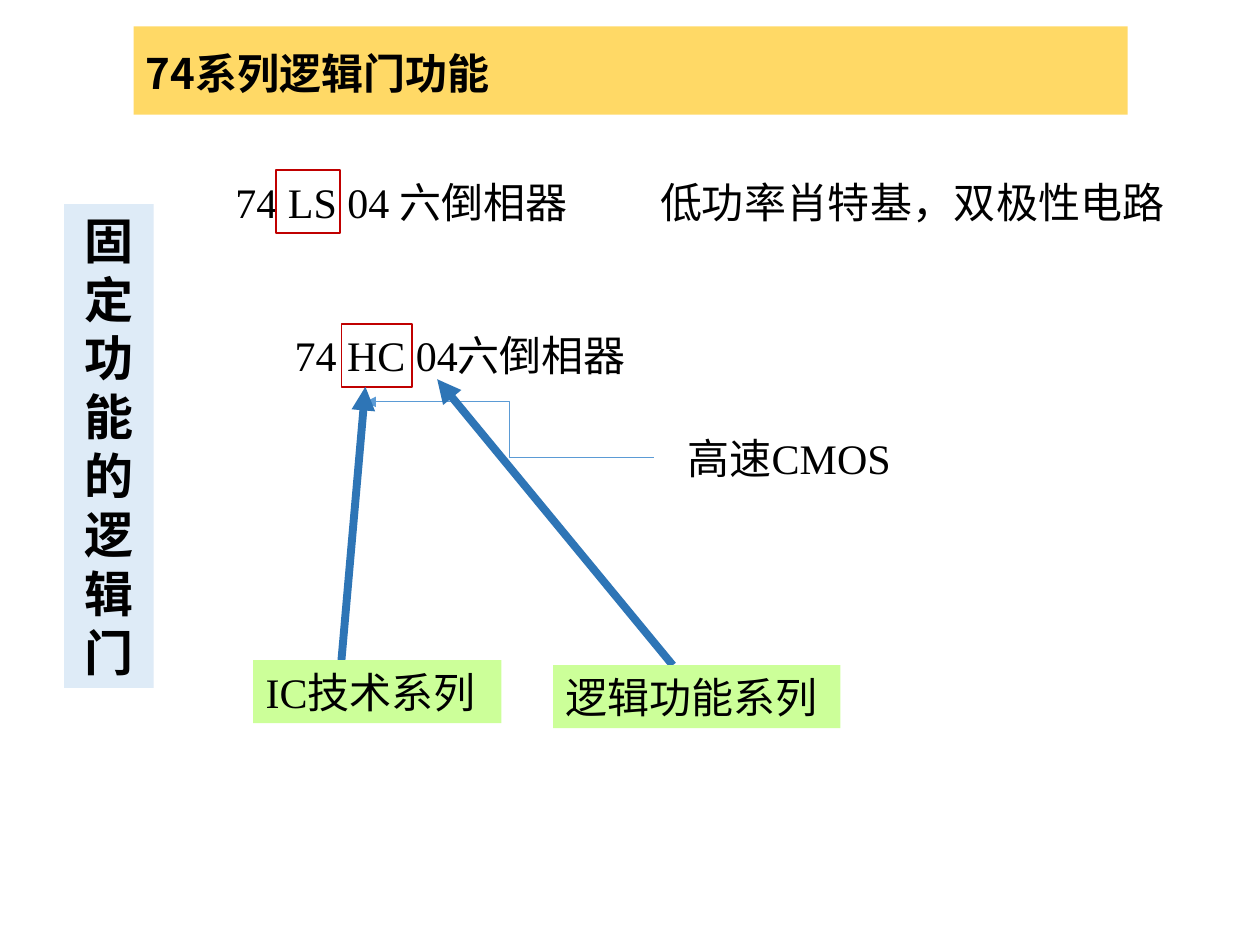
from lxml import etree
from pptx import Presentation
from pptx.dml.color import RGBColor
from pptx.enum.shapes import MSO_CONNECTOR, MSO_SHAPE
from pptx.enum.text import MSO_ANCHOR, PP_ALIGN
from pptx.oxml.ns import qn
from pptx.util import Inches, Pt


def color(value):
    return RGBColor.from_string(value)


def add_box(left, top, width, height, fill=None, outline=None):
    box = page.shapes.add_shape(MSO_SHAPE.RECTANGLE, Inches(left), Inches(top),
                                Inches(width), Inches(height))
    box.shadow.inherit = False
    if fill:
        box.fill.solid()
        box.fill.fore_color.rgb = color(fill)
    else:
        box.fill.background()
    if outline:
        box.line.color.rgb = color(outline)
        box.line.width = Pt(1)
    else:
        box.line.fill.background()
    return box


deck = Presentation()
deck.slide_width = Inches(10)
deck.slide_height = Inches(7.5)
page = deck.slides.add_slide(deck.slide_layouts[6])

sidebar = add_box(0.51, 1.62, 0.71, 3.84, fill="DEEBF7")
title = add_box(1.06, 0.21, 7.89, 0.7, fill="FFD966")
texts = [
    (sidebar, "固定功能的逻辑门", "Calibri", 28, True),
    (title, "74系列逻辑门功能", "Noto Sans CJK SC", 24, True),
]

# Part numbers and their explanations
for left, top, width, wording in [
    (1.77, 1.35, 5.53, "74 LS 04 六倒相器"),
    (5.36, 3.38, 1.95, "高速CMOS"),
    (5.14, 1.35, 4.33, "低功率肖特基，双极性电路"),
    (2.24, 2.57, 5.53, "74 HC 04六倒相器"),
]:
    label = page.shapes.add_textbox(Inches(left), Inches(top), Inches(width), Inches(0.5))
    texts.append((label, wording, "Times New Roman", 24, False))

# Frames around the technology letters
add_box(2.19, 1.35, 0.51, 0.5, outline="C00000")
add_box(2.71, 2.57, 0.56, 0.5, outline="C00000")

# Arrows pointing at the parts of the type number
for kind, start, end, stroke, weight in [
    (MSO_CONNECTOR.ELBOW, (5.19, 3.63), (2.9, 3.19), "5B9BD5", 0.5),
    (MSO_CONNECTOR.STRAIGHT, (2.71, 5.24), (2.9, 3.07), "2E75B6", 4.5),
    (MSO_CONNECTOR.STRAIGHT, (5.34, 5.28), (3.47, 3.01), "2E75B6", 4.5),
]:
    arrow = page.shapes.add_connector(kind, *[Inches(value) for value in start + end])
    arrow.line.color.rgb = color(stroke)
    arrow.line.width = Pt(weight)
    etree.SubElement(arrow.line._get_or_add_ln(), qn("a:tailEnd"), type="triangle")
    etree.SubElement(arrow._element.spPr, qn("a:effectLst"))

for left, top, width, wording in [
    (2.01, 5.24, 1.97, "IC技术系列"),
    (4.39, 5.28, 2.28, "逻辑功能系列"),
]:
    caption = add_box(left, top, width, 0.5, fill="CCFF99")
    texts.append((caption, wording, "Times New Roman", 24, False))

for box, wording, font_name, size, bold in texts:
    frame = box.text_frame
    frame.text = wording
    frame.word_wrap = True
    frame.vertical_anchor = MSO_ANCHOR.TOP
    paragraph = frame.paragraphs[0]
    paragraph.alignment = PP_ALIGN.LEFT
    span = paragraph.runs[0]
    span.font.name = font_name
    span.font.size = Pt(size)
    span.font.bold = bold
    span.font.color.rgb = color("000000")

sidebar.text_frame.paragraphs[0].alignment = PP_ALIGN.CENTER
title.text_frame.paragraphs[0].line_spacing = 1.3

deck.save("out.pptx")
